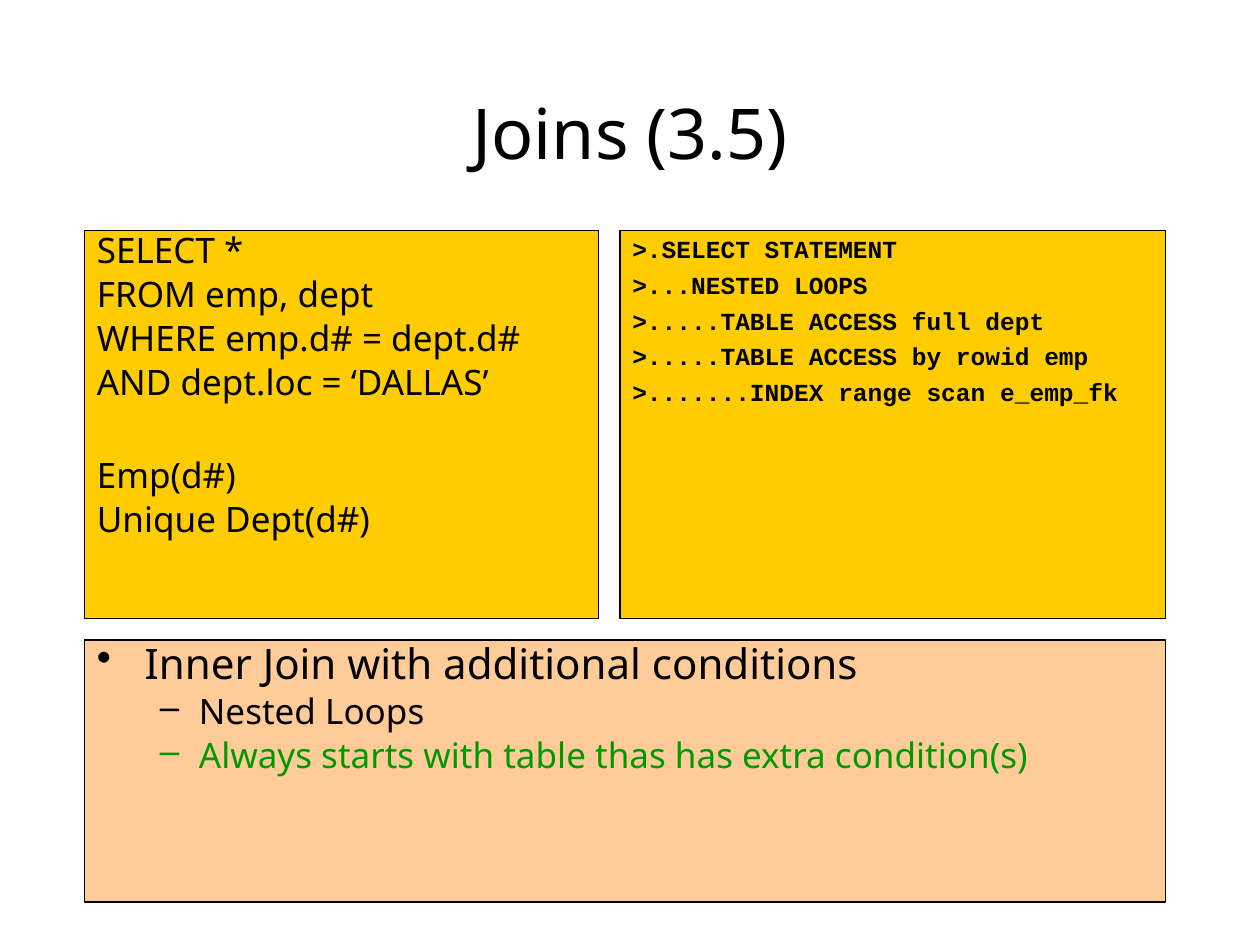
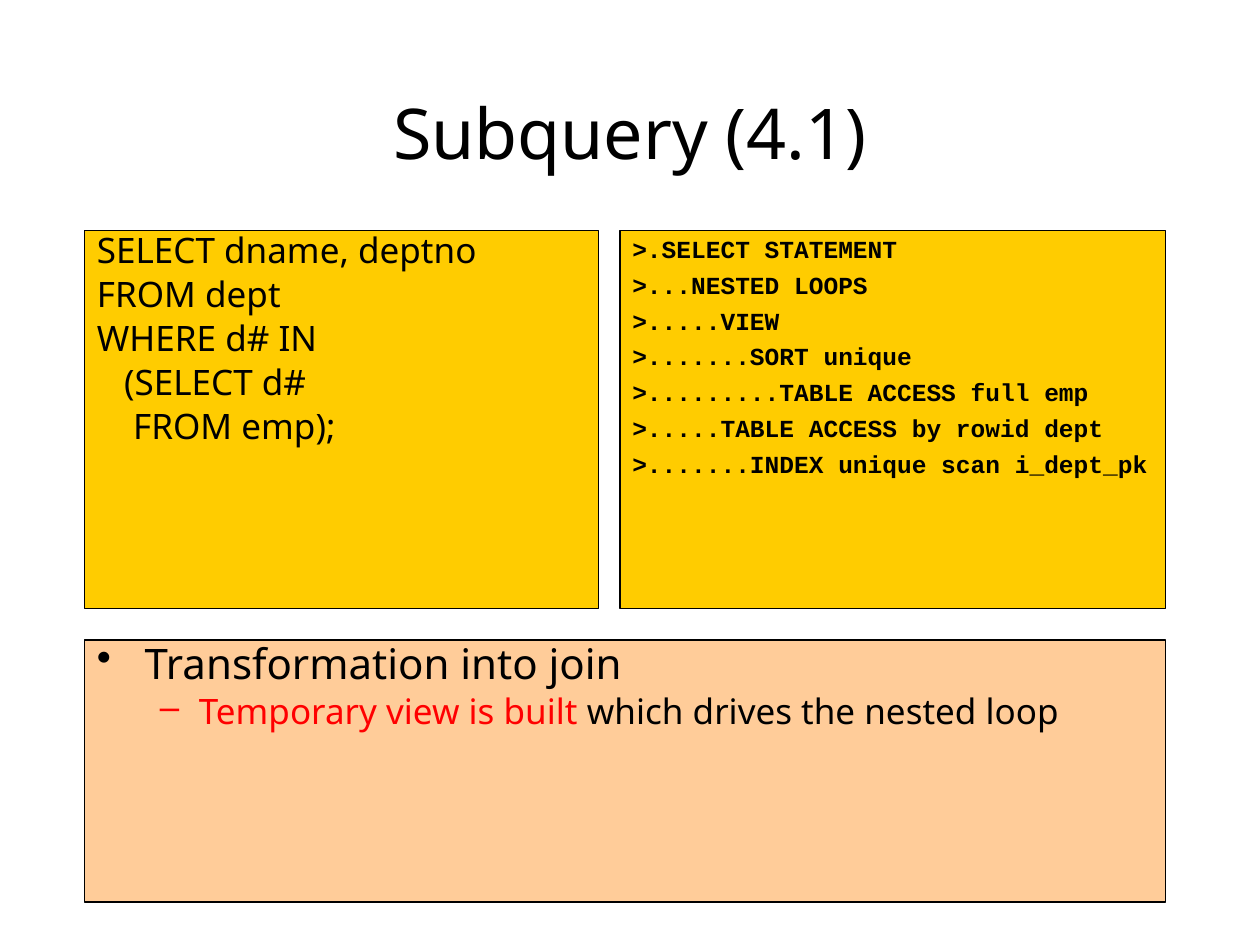
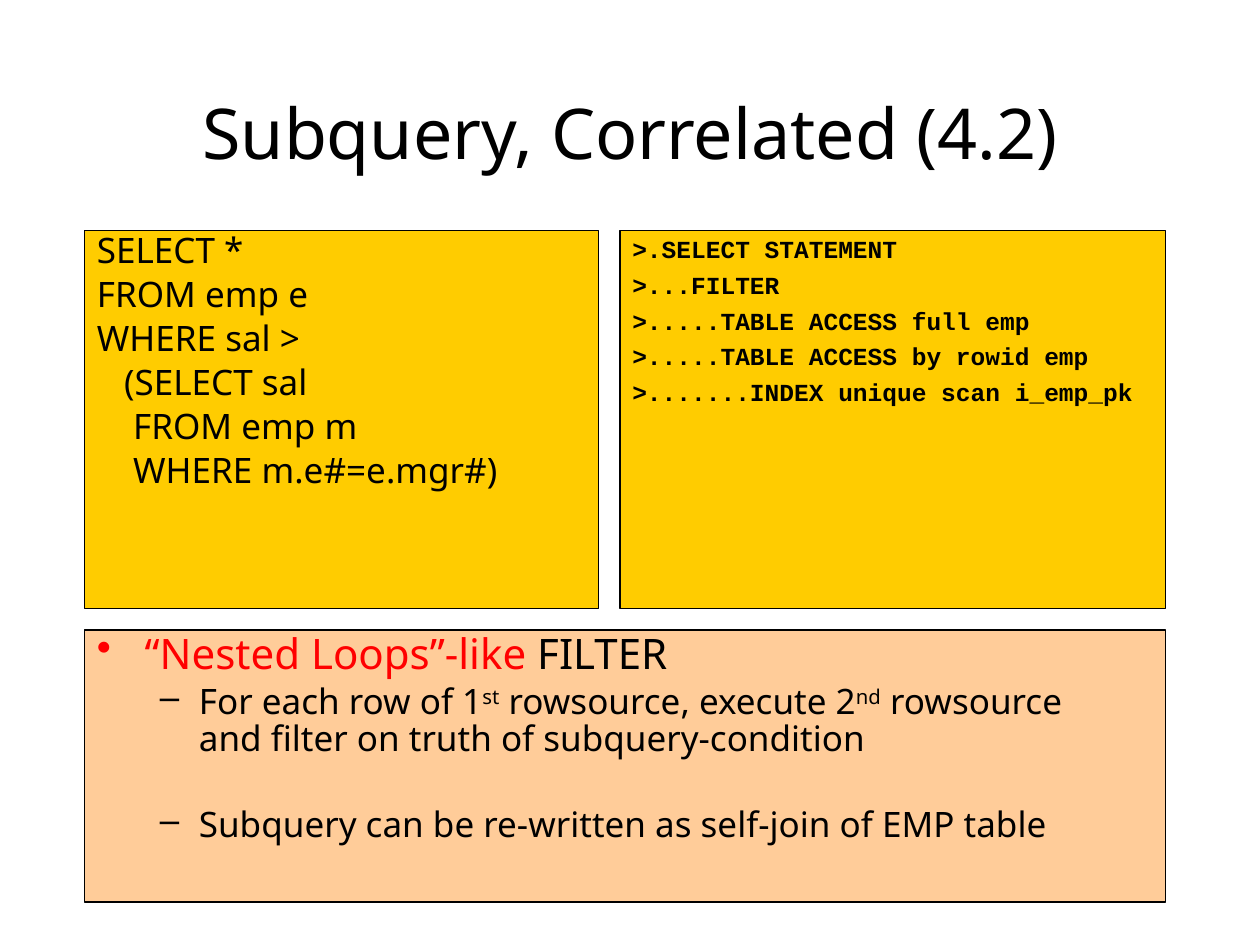
"""Build three slides that pair SQL queries with their execution plans."""
from pptx import Presentation
from pptx.dml.color import RGBColor
from pptx.enum.shapes import MSO_SHAPE
from pptx.enum.text import MSO_ANCHOR, PP_ALIGN
from pptx.oxml.ns import qn
from pptx.util import Inches, Pt
from lxml import etree

RECTANGLE = MSO_SHAPE.RECTANGLE
TOP, MIDDLE = MSO_ANCHOR.TOP, MSO_ANCHOR.MIDDLE
LEFT, CENTER = PP_ALIGN.LEFT, PP_ALIGN.CENTER

SANS, MONO = "Noto Sans", "Courier New"
BLACK, RED, GREEN = "000000", "FF0000", "009900"
YELLOW, PEACH = "FFCC00", "FFCC99"

MARGIN, PANEL_TOP, BOTTOM = 0.67, 1.83, 7.16
QUERY_WIDTH, PLAN_LEFT, PLAN_WIDTH = 4.08, 4.92, 4.33
NOTES_WIDTH = PLAN_LEFT + PLAN_WIDTH - MARGIN
SPACE_WIDTH = 0.072
QUERY_PITCH, NOTE_LINE = 28, 24
LINE_SPACING = 0.88

NOTE_LEVELS = [
    {"size": 24, "left": 0.38, "hanging": 0.38, "bullet": "•", "before": 4.8},
    {"size": 20, "left": 0.81, "hanging": 0.31, "bullet": "–", "before": 4},
]

SLIDES = [
    {
        "title": "Joins (3.5)",
        "panel_height": 3.08,
        "notes_top": 5.08,
        "query": [
            ("SELECT *", 0, 0),
            ("FROM emp, dept", 0, 0),
            ("WHERE emp.d# = dept.d#", 0, 0),
            ("AND dept.loc = ‘DALLAS’", 0, 0),
            ("Emp(d#)", 0, QUERY_PITCH),
            ("Unique Dept(d#)", 0, 0),
        ],
        "plan": [
            ">.SELECT STATEMENT",
            ">...NESTED LOOPS",
            ">.....TABLE ACCESS full dept",
            ">.....TABLE ACCESS by rowid emp",
            ">.......INDEX range scan e_emp_fk",
        ],
        "notes": [
            (0, 0, [("Inner Join with additional conditions", BLACK, 0)]),
            (1, 0, [("Nested Loops", BLACK, 0)]),
            (1, 0, [("Always starts with table thas has extra condition(s)", GREEN, 0)]),
        ],
    },
    {
        "title": "Subquery (4.1)",
        "panel_height": 3,
        "notes_top": 5.08,
        "query": [
            ("SELECT dname, deptno", 0, 0),
            ("FROM dept", 0, 0),
            ("WHERE d# IN", 0, 0),
            ("(SELECT d#", 3, 0),
            ("FROM emp);", 4, 0),
        ],
        "plan": [
            ">.SELECT STATEMENT",
            ">...NESTED LOOPS",
            ">.....VIEW",
            ">.......SORT unique",
            ">.........TABLE ACCESS full emp",
            ">.....TABLE ACCESS by rowid dept",
            ">.......INDEX unique scan i_dept_pk",
        ],
        "notes": [
            (0, 0, [("Transformation into join", BLACK, 0)]),
            (1, 0, [("Temporary view is built", RED, 0),
                    (" which drives the nested loop", BLACK, 0)]),
        ],
    },
    {
        "title": "Subquery, Correlated (4.2)",
        "panel_height": 3,
        "notes_top": 5,
        "query": [
            ("SELECT *", 0, 0),
            ("FROM emp e", 0, 0),
            ("WHERE sal >", 0, 0),
            ("(SELECT sal", 3, 0),
            ("FROM emp m", 4, 0),
            ("WHERE m.e#=e.mgr#)", 4, 0),
        ],
        "plan": [
            ">.SELECT STATEMENT",
            ">...FILTER",
            ">.....TABLE ACCESS full emp",
            ">.....TABLE ACCESS by rowid emp",
            ">.......INDEX unique scan i_emp_pk",
        ],
        "notes": [
            (0, 0, [("“Nested Loops”-like", RED, 0), (" FILTER", BLACK, 0)]),
            (1, 0, [("For each row of 1", BLACK, 0), ("st", BLACK, 30),
                    (" rowsource, execute 2", BLACK, 0), ("nd", BLACK, 30),
                    (" rowsource", BLACK, 0), ("\n", BLACK, 0),
                    ("and filter on truth of subquery-condition", BLACK, 0)]),
            (1, NOTE_LINE, [("Subquery can be re-written as self-join of EMP table", BLACK, 0)]),
        ],
    },
]


def color(value):
    """Turn a hex string into a colour."""
    return RGBColor.from_string(value)


def write_line(frame, runs, size, font=SANS, align=LEFT, before=0, spacing=1.0,
               left=0, hanging=0, bullet=None):
    """Write one paragraph, using the empty first one when it is free."""
    paragraph = frame.paragraphs[0]
    if paragraph.runs:
        paragraph = frame.add_paragraph()
    paragraph.alignment = align
    paragraph.line_spacing = spacing
    paragraph.space_before = Pt(before)
    properties = paragraph._p.get_or_add_pPr()
    properties.set("marL", str(Inches(left)))
    properties.set("indent", str(-Inches(hanging)))
    if bullet:
        etree.SubElement(properties, qn("a:buChar")).set("char", bullet)
    for text, text_color, raised in runs:
        if text == "\n":
            paragraph.add_line_break()
            continue
        run = paragraph.add_run()
        run.text = text
        run.font.size = Pt(size)
        run.font.name = font
        run.font.bold = font == MONO
        run.font.color.rgb = color(text_color)
        if raised:
            run._r.get_or_add_rPr().set("baseline", str(raised * 1000))


presentation = Presentation()
presentation.slide_width = Inches(10)
presentation.slide_height = Inches(7.5)

for content in SLIDES:
    slide = presentation.slides.add_slide(presentation.slide_layouts[6])

    title = slide.shapes.add_textbox(Inches(0.75), Inches(0.67), Inches(8.5), Inches(0.75))
    title.text_frame.word_wrap = True
    title.text_frame.vertical_anchor = MIDDLE
    write_line(title.text_frame, [(content["title"], BLACK, 0)], 40, align=CENTER)

    height, notes_top = content["panel_height"], content["notes_top"]
    panels = [
        (MARGIN, notes_top, NOTES_WIDTH, BOTTOM - notes_top, PEACH),
        (PLAN_LEFT, PANEL_TOP, PLAN_WIDTH, height, YELLOW),
        (MARGIN, PANEL_TOP, QUERY_WIDTH, height, YELLOW),
    ]
    frames = []
    for left, top, width, panel_height, fill in panels:
        panel = slide.shapes.add_shape(
            RECTANGLE, Inches(left), Inches(top), Inches(width), Inches(panel_height))
        panel.shadow.inherit = False
        panel.fill.solid()
        panel.fill.fore_color.rgb = color(fill)
        panel.line.color.rgb = color(BLACK)
        panel.line.width = Pt(0.75)
        panel.text_frame.word_wrap = True
        panel.text_frame.vertical_anchor = TOP
        panel.text_frame.margin_top = Inches(0.03)
        frames.append(panel.text_frame)
    notes_frame, plan_frame, query_frame = frames

    for level, gap, runs in content["notes"]:
        style = dict(NOTE_LEVELS[level])
        style["before"] += gap
        write_line(notes_frame, runs, spacing=LINE_SPACING, **style)

    for step in content["plan"]:
        write_line(plan_frame, [(step, BLACK, 0)], 14, font=MONO, before=3.6)

    for text, spaces, gap in content["query"]:
        write_line(query_frame, [(text, BLACK, 0)], 20, before=4 + gap,
                   spacing=LINE_SPACING, left=spaces * SPACE_WIDTH)

presentation.save("out.pptx")
